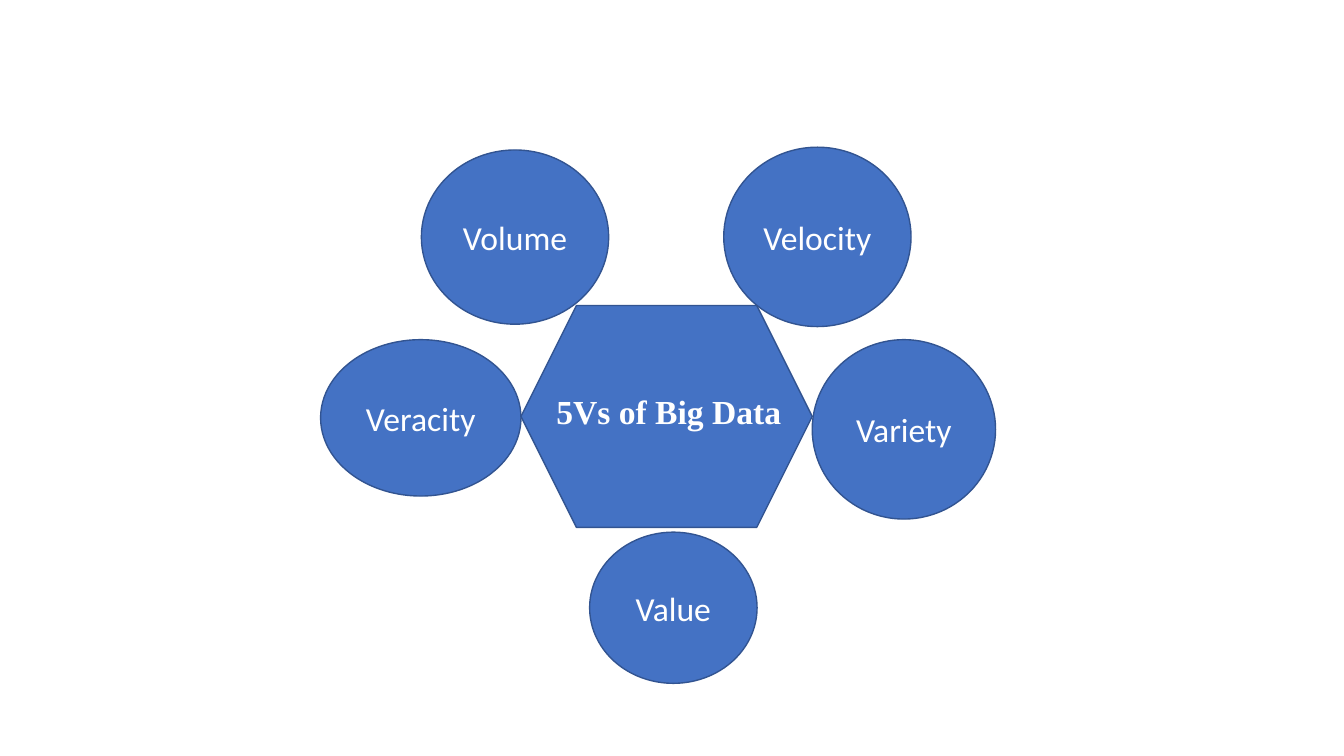
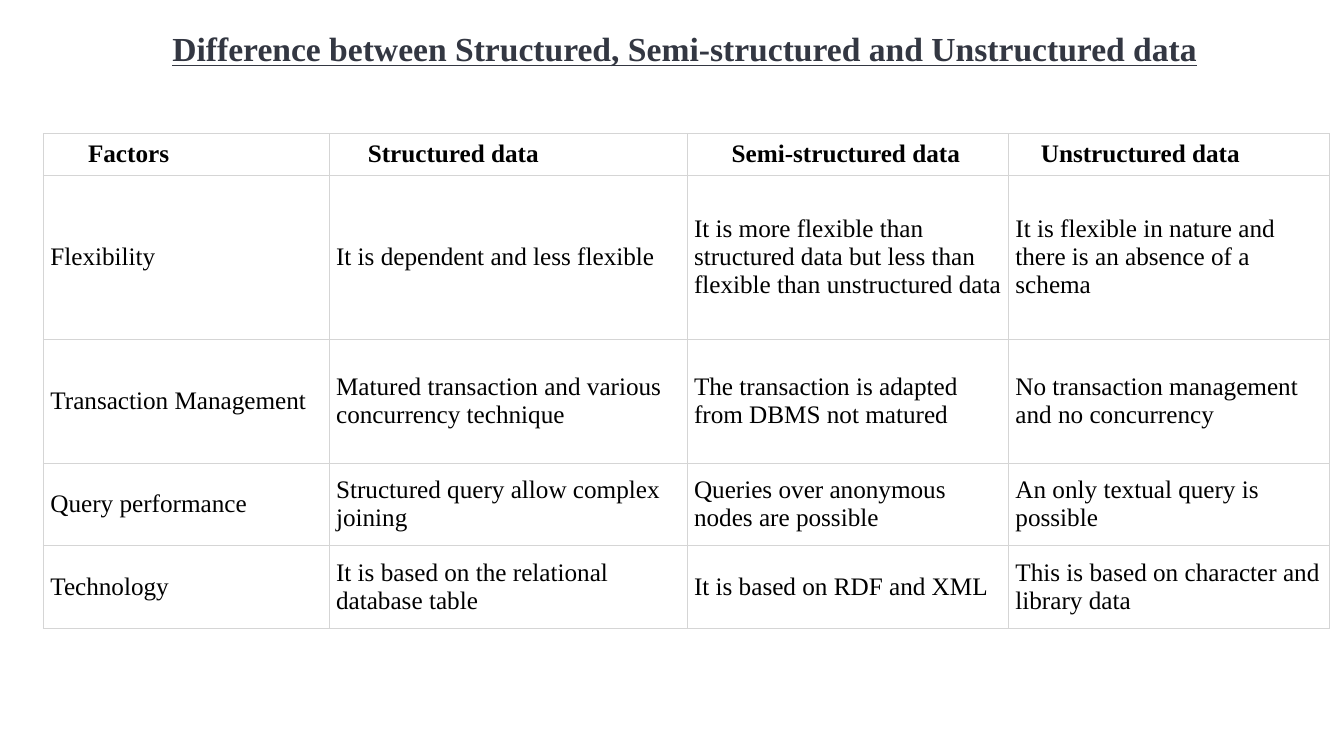
from lxml.etree import SubElement
from pptx import Presentation
from pptx.dml.color import RGBColor
from pptx.enum.shapes import MSO_SHAPE as Preset
from pptx.enum.text import MSO_ANCHOR as Anchor, MSO_AUTO_SIZE as AutoSize, PP_ALIGN as Align
from pptx.oxml.ns import qn
from pptx.util import Cm, Pt

COLOURS = {
    "blue": "4472C4",
    "outline": "325491",
    "white": "FFFFFF",
    "black": "000000",
    "heading": "333742",
    "grid": "D5D5D5",
}
SERIF = "Times New Roman"
SANS = "Calibri"
TITLE_ONLY, BLANK = 5, 6


def colour(name):
    return RGBColor.from_string(COLOURS[name])


class Deck:
    def __init__(self, width, height):
        self.presentation = Presentation()
        self.presentation.slide_width = Cm(width)
        self.presentation.slide_height = Cm(height)
        self.slide = None

    def new_slide(self, layout):
        self.slide = self.presentation.slides.add_slide(self.presentation.slide_layouts[layout])

    def set_text(self, frame, text, size, font, ink, bold=False, underline=False, align=Align.LEFT):
        frame.text = text
        frame.word_wrap = True
        for paragraph in frame.paragraphs:
            paragraph.alignment = align
            for run in paragraph.runs:
                run.font.size = Pt(size)
                run.font.name = font
                run.font.bold = bold
                run.font.underline = underline
                run.font.color.rgb = colour(ink)

    def title(self, text, left, top, width, height):
        heading = self.slide.shapes.title
        heading.left, heading.top, heading.width, heading.height = map(Cm, (left, top, width, height))
        heading.text_frame.vertical_anchor = Anchor.TOP
        heading.text_frame.auto_size = AutoSize.NONE
        self.set_text(heading.text_frame, text, 24, SERIF, "heading", bold=True, underline=True)

    def shape(self, preset, box, parent=None):
        shapes = (parent or self.slide).shapes
        figure = shapes.add_shape(preset, *map(Cm, box))
        figure.shadow.inherit = False
        figure.fill.solid()
        figure.fill.fore_color.rgb = colour("blue")
        figure.line.color.rgb = colour("outline")
        figure.line.width = Pt(1)
        return figure

    def circle(self, text, *box):
        frame = self.shape(Preset.OVAL, box).text_frame
        frame.vertical_anchor = Anchor.MIDDLE
        self.set_text(frame, text, 24, SANS, "white", align=Align.CENTER)

    def hub(self, text, hexagon_box, label_box):
        group = self.slide.shapes.add_group_shape()
        self.shape(Preset.HEXAGON, hexagon_box, group)
        label = group.shapes.add_textbox(*map(Cm, label_box))
        self.set_text(label.text_frame, text, 24, SERIF, "white", bold=True)

    def border(self, cell):
        properties = cell._tc.get_or_add_tcPr()
        for position, side in enumerate(("a:lnL", "a:lnR", "a:lnT", "a:lnB")):
            edge = SubElement(properties, qn(side), w=str(Pt(0.5)))
            fill = SubElement(edge, qn("a:solidFill"))
            SubElement(fill, qn("a:srgbClr"), val=COLOURS["grid"])
            properties.insert(position, edge)

    def table(self, rows, left, top, widths, heights, header_indents):
        frame = self.slide.shapes.add_table(
            len(rows), len(widths), Cm(left), Cm(top), Cm(sum(widths)), Cm(sum(heights)))
        grid = frame.table
        grid.first_row = grid.horz_banding = False
        for column, width in zip(grid.columns, widths):
            column.width = Cm(width)
        for row, height in zip(grid.rows, heights):
            row.height = Cm(height)
        for r, texts in enumerate(rows):
            for c, text in enumerate(texts):
                cell = grid.cell(r, c)
                indent = header_indents[c] if r == 0 else 0
                cell.margin_left, cell.margin_right = Cm(0.18 + indent), Cm(0.15)
                cell.margin_top = cell.margin_bottom = 0
                cell.vertical_anchor = Anchor.MIDDLE
                cell.fill.solid()
                cell.fill.fore_color.rgb = colour("white")
                self.border(cell)
                self.set_text(cell.text_frame, text, 18, SERIF, "black", bold=r == 0)


deck = Deck(33.87, 19.05)

deck.new_slide(BLANK)
deck.circle("Volume", 10.62, 3.78, 4.72, 4.39)
deck.hub("5Vs of Big Data", (13.13, 7.7, 7.34, 5.59), (13.77, 9.73, 8.23, 1.27))
deck.circle("Velocity", 18.24, 3.71, 4.72, 4.52)
deck.circle("Variety", 20.47, 8.56, 4.62, 4.52)
deck.circle("Veracity", 8.08, 8.56, 5.05, 3.94)
deck.circle("Value", 14.86, 13.41, 4.22, 3.81)

deck.new_slide(TITLE_ONLY)
deck.title("Difference between Structured, Semi-structured and Unstructured data",
           4.09, 0.58, 26.72, 1.27)
comparison = [
    ("Factors", "Structured data", "Semi-structured data", "Unstructured data"),
    ("Flexibility",
     "It is dependent and less flexible",
     "It is more flexible than structured data but less than flexible than unstructured data",
     "It is flexible in nature and there is an absence of a schema"),
    ("Transaction Management",
     "Matured transaction and various concurrency technique",
     "The transaction is adapted from DBMS not matured",
     "No transaction management and no concurrency"),
    ("Query performance",
     "Structured query allow complex joining",
     "Queries over anonymous nodes are possible",
     "An only textual query is possible"),
    ("Technology",
     "It is based on the relational database table",
     "It is based on RDF and XML",
     "This is based on character and library data"),
]
deck.table(comparison, 1.09, 3.37,
           widths=(7.2, 9.02, 8.1, 8.1),
           heights=(1.04, 4.14, 3.12, 2.08, 2.08),
           header_indents=(0.95, 0.8, 0.95, 0.64))

deck.presentation.save("out.pptx")
